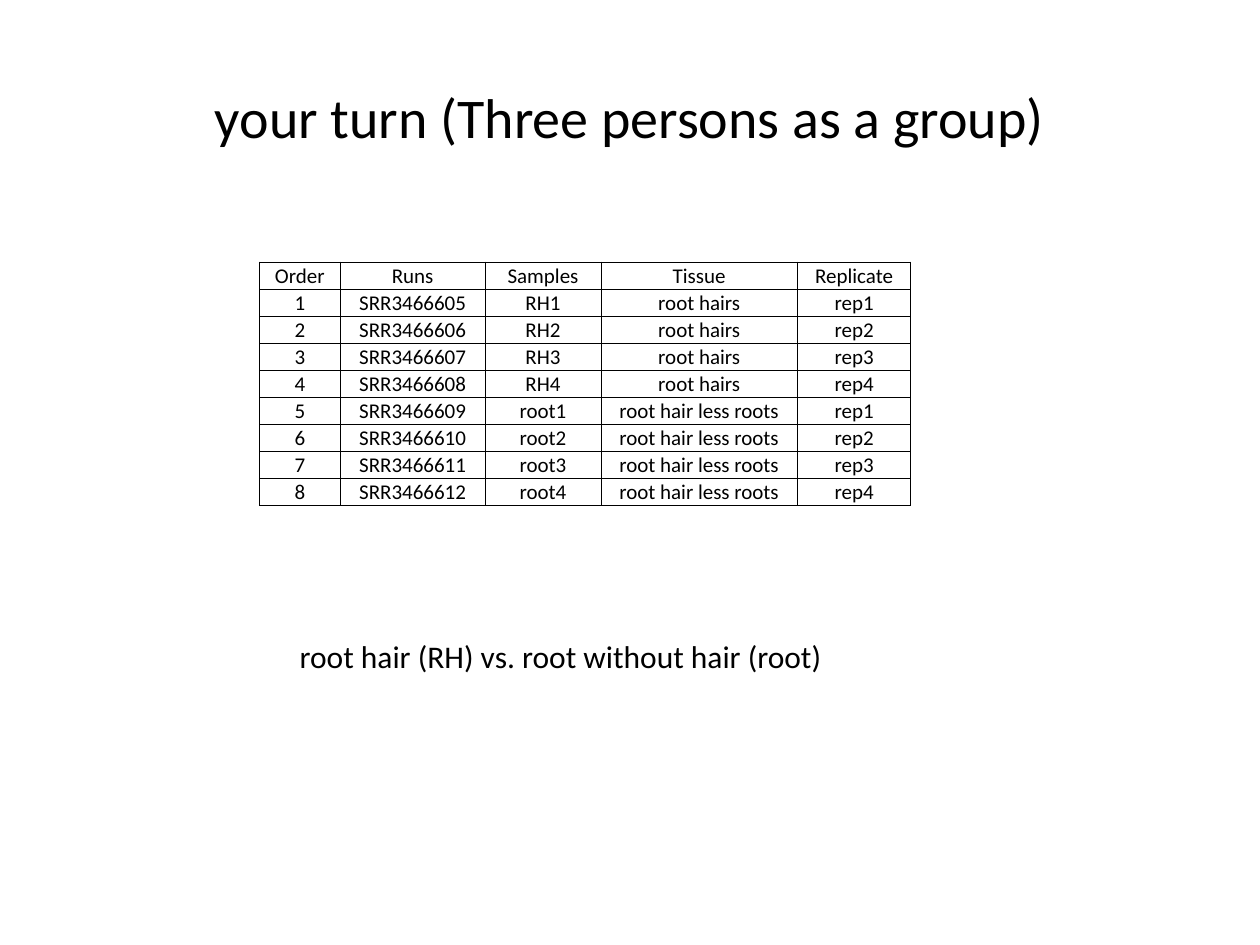
from dataclasses import dataclass

from lxml import etree
from pptx import Presentation
from pptx.dml.color import RGBColor
from pptx.enum import text
from pptx.oxml import ns
from pptx.util import Inches, Pt


@dataclass(frozen=True)
class Theme:
    font: str = "Calibri"
    ink: str = "000000"
    title_size: int = 32
    note_size: int = 18
    cell_size: int = 12
    rule_width: float = 0.5


@dataclass(frozen=True)
class Group:
    prefix: str
    tissue: str


@dataclass(frozen=True)
class Caption:
    words: str
    left: float
    top: float
    width: float
    height: float
    size: int
    align: text.PP_ALIGN
    anchor: text.MSO_ANCHOR
    wrap: bool


THEME = Theme()
HEADINGS = ("Order", "Runs", "Samples", "Tissue", "Replicate")
COLUMN_WIDTHS = (0.64, 1.15, 0.92, 1.56, 0.9)
GROUPS = (Group("RH", "root hairs"), Group("root", "root hair less roots"))
REPLICATES = 4
FIRST_RUN = 3466605
CAPTIONS = (
    Caption("your turn (Three persons as a group)", 0.5, 0.3, 9, 1.25,
            THEME.title_size, text.PP_ALIGN.CENTER, text.MSO_ANCHOR.MIDDLE, True),
    Caption("root hair (RH) vs. root without hair (root)", 2.28, 5.01, 4.45, 0.4,
            THEME.note_size, text.PP_ALIGN.LEFT, text.MSO_ANCHOR.TOP, False),
)


def write(frame, words: str, size: int, align: text.PP_ALIGN) -> None:
    frame.text = words
    paragraph = frame.paragraphs[0]
    paragraph.alignment = align
    font = paragraph.runs[0].font
    font.name, font.size = THEME.font, Pt(size)
    font.color.rgb = RGBColor.from_string(THEME.ink)


def add_caption(slide, caption: Caption) -> None:
    box = slide.shapes.add_textbox(Inches(caption.left), Inches(caption.top),
                                   Inches(caption.width), Inches(caption.height))
    frame = box.text_frame
    frame.word_wrap = caption.wrap
    frame.vertical_anchor = caption.anchor
    if not caption.wrap:
        frame.auto_size = text.MSO_AUTO_SIZE.SHAPE_TO_FIT_TEXT
    write(frame, caption.words, caption.size, caption.align)


def add_borders(cell) -> None:
    properties = cell._tc.get_or_add_tcPr()
    for position, side in enumerate(("lnL", "lnR", "lnT", "lnB")):
        line = etree.Element(ns.qn(f"a:{side}"), w=str(Pt(THEME.rule_width)))
        fill = etree.SubElement(line, ns.qn("a:solidFill"))
        etree.SubElement(fill, ns.qn("a:srgbClr"), val=THEME.ink)
        properties.insert(position, line)


def sample_rows() -> list[tuple[str, ...]]:
    rows = []
    for group in GROUPS:
        for replicate in range(1, REPLICATES + 1):
            index = len(rows)
            rows.append((str(index + 1), f"SRR{FIRST_RUN + index}",
                         f"{group.prefix}{replicate}", group.tissue, f"rep{replicate}"))
    return rows


def add_samples(slide) -> None:
    rows = [HEADINGS, *sample_rows()]
    samples = slide.shapes.add_table(len(rows), len(HEADINGS), Inches(2.06), Inches(2.08),
                                     Inches(sum(COLUMN_WIDTHS)), Inches(1.93)).table
    samples.first_row = samples.horz_banding = False
    for column, width in zip(samples.columns, COLUMN_WIDTHS):
        column.width = Inches(width)
    for row, values in zip(samples.rows, rows):
        for cell, value in zip(row.cells, values):
            cell.margin_left = cell.margin_right = cell.margin_top = Inches(0.01)
            cell.margin_bottom = 0
            cell.vertical_anchor = text.MSO_ANCHOR.BOTTOM
            cell.fill.background()
            add_borders(cell)
            write(cell.text_frame, value, THEME.cell_size, text.PP_ALIGN.CENTER)


def main() -> None:
    deck = Presentation()
    deck.slide_width, deck.slide_height = Inches(10), Inches(7.5)
    slide = deck.slides.add_slide(deck.slide_layouts[6])

    # Title, sample table, comparison note
    title, comparison = CAPTIONS
    add_caption(slide, title)
    add_samples(slide)
    add_caption(slide, comparison)

    deck.save("out.pptx")


if __name__ == "__main__":
    main()
